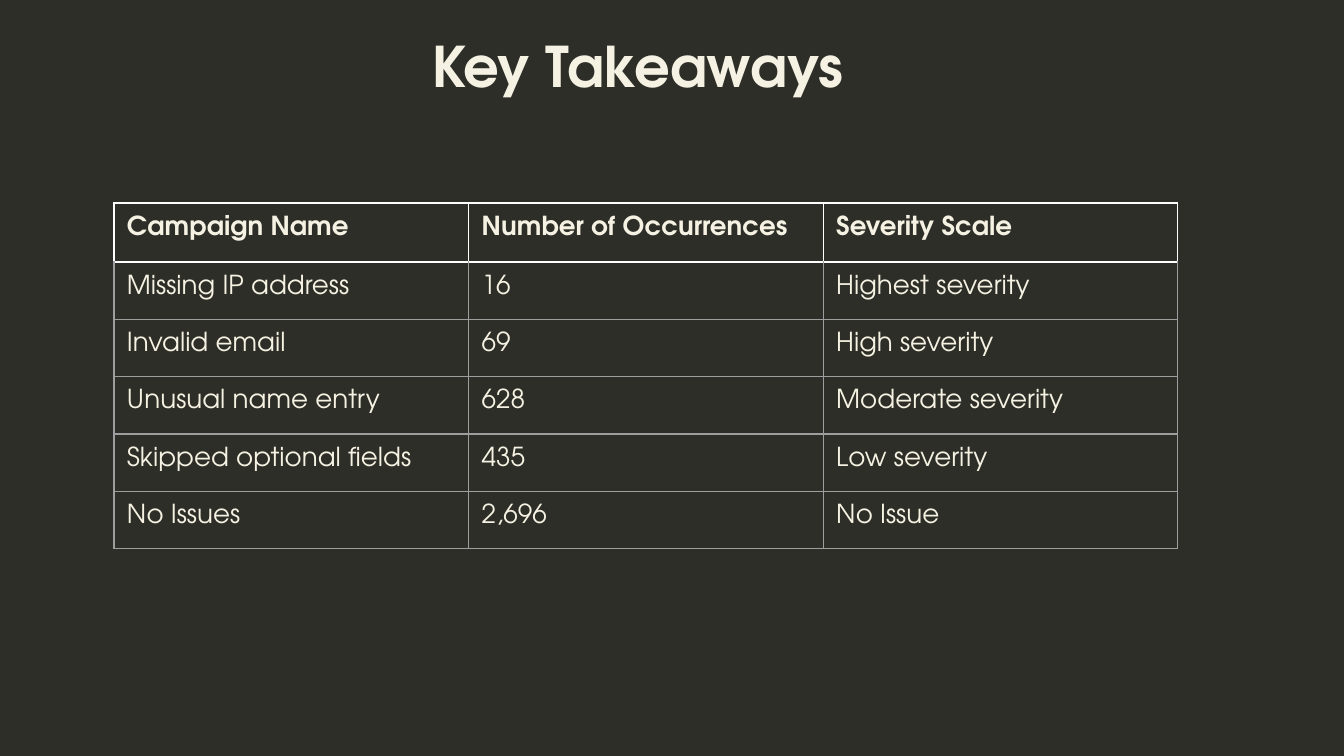
from collections import namedtuple

from lxml import etree
from pptx import Presentation
from pptx import util as u
from pptx.dml.color import RGBColor
from pptx.enum import text
from pptx.oxml import ns

PX = 914400 / 134.4
FONT = "TeX Gyre Adventor"
DARK = RGBColor(0x2D, 0x2E, 0x27)
CREAM = RGBColor(0xF6, 0xF2, 0xE3)
GREY = RGBColor(0x9E, 0x9E, 0x9E)
WHITE = RGBColor(0xFF, 0xFF, 0xFF)
INSET = 13

Box = namedtuple("Box", "left top width height")

HEADER_HEIGHT, ROW_HEIGHT = 59, 56
FINDINGS = [
    ("Campaign Name", "Number of Occurrences", "Severity Scale"),
    ("Missing IP address", "16", "Highest severity"),
    ("Invalid email", "69", "High severity"),
    ("Unusual name entry", "628", "Moderate severity"),
    ("Skipped optional fields", "435", "Low severity"),
    ("No Issues", "2,696", "No Issue"),
]


def px(length):
    return u.Emu(round(length * PX))


def set_insets(holder):
    holder.margin_left = holder.margin_right = px(INSET)
    holder.margin_top = holder.margin_bottom = px(INSET)


def add_span(para, words, size, bold):
    span = para.add_run()
    span.text = words
    span.font.name = FONT
    span.font.size = u.Pt(size)
    span.font.bold = bold
    span.font.color.rgb = CREAM


def set_borders(cell, colors):
    """Draw cell edges; colors maps the letters L, R, T and B to a colour."""
    props = cell._tc.get_or_add_tcPr()
    for position, (side, color) in enumerate(colors.items()):
        line = etree.Element(ns.qn(f"a:ln{side}"), w=str(u.Pt(0.75)))
        fill = etree.SubElement(line, ns.qn("a:solidFill"))
        etree.SubElement(fill, ns.qn("a:srgbClr"), val=str(color))
        props.insert(position, line)


def add_title(page, box, words):
    frame = page.shapes.add_textbox(*map(px, box)).text_frame
    frame.word_wrap = True
    frame.vertical_anchor = text.MSO_ANCHOR.TOP
    set_insets(frame)
    para = frame.paragraphs[0]
    para.alignment = text.PP_ALIGN.CENTER
    add_span(para, words, 30, True)


def add_findings_table(page, box, rows):
    columns = len(rows[0])
    table = page.shapes.add_table(len(rows), columns, *map(px, box)).table
    table.horz_banding = False
    for column in table.columns:
        column.width = px(box.width / columns)
    for r, row in enumerate(rows):
        header = r == 0
        table.rows[r].height = px(HEADER_HEIGHT if header else ROW_HEIGHT)
        edge = WHITE if header else GREY
        top_edge = WHITE if r <= 1 else GREY
        for c, words in enumerate(row):
            cell = table.cell(r, c)
            cell.fill.background()
            set_insets(cell)
            set_borders(cell, {"L": edge, "R": edge, "T": top_edge, "B": edge})
            add_span(cell.text_frame.paragraphs[0], words, 14, header)


def main():
    deck = Presentation()
    deck.slide_width, deck.slide_height = px(1344), px(756)
    page = deck.slides.add_slide(deck.slide_layouts[6])
    page.background.fill.solid()
    page.background.fill.fore_color.rgb = DARK

    add_title(page, Box(405, 19, 481, 90), "Key Takeaways ")
    table_height = HEADER_HEIGHT + ROW_HEIGHT * (len(FINDINGS) - 1)
    add_findings_table(page, Box(114, 203, 1064, table_height), FINDINGS)
    deck.save("out.pptx")


if __name__ == "__main__":
    main()
